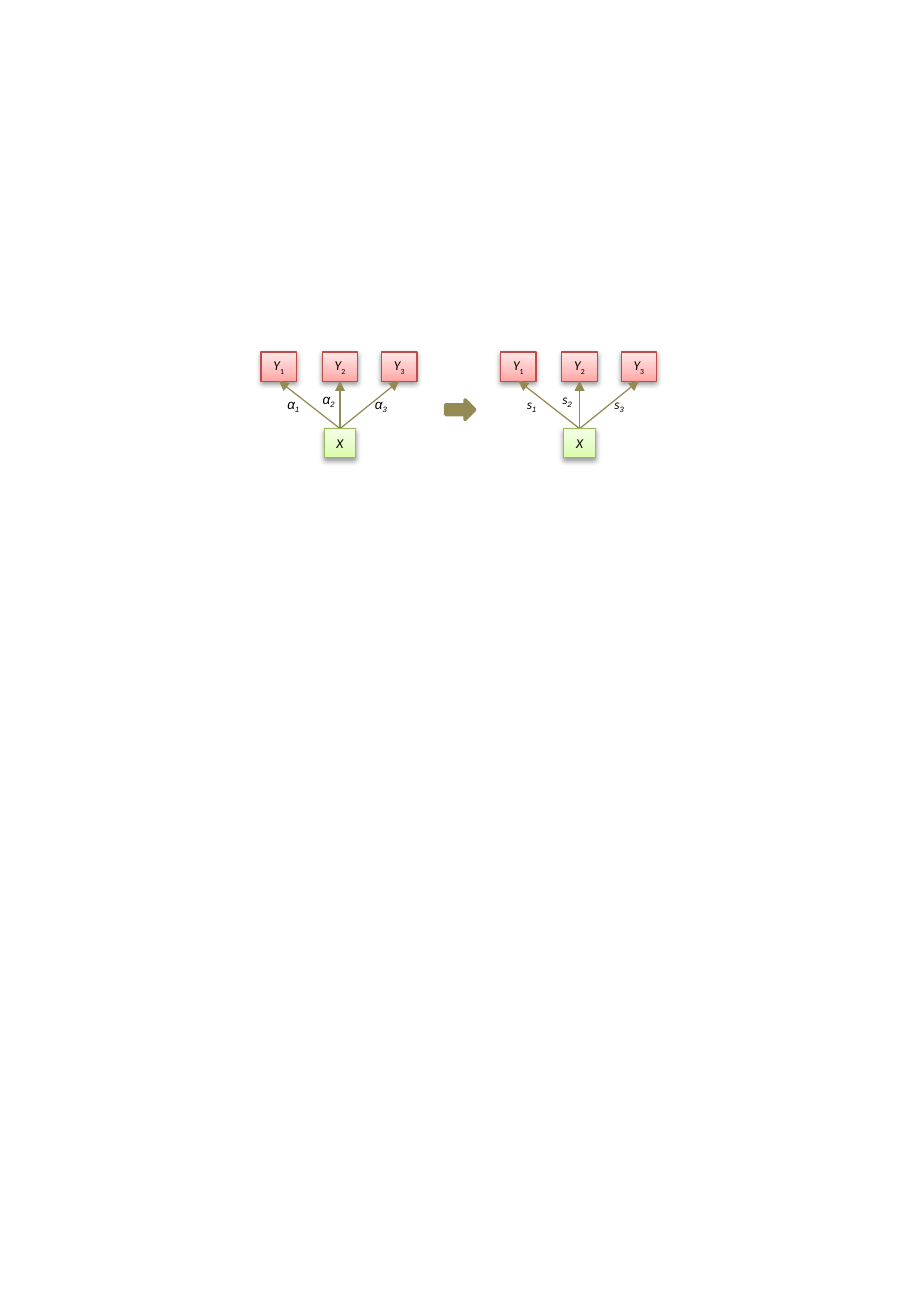
"""Build a slide with two path graphs from X to Y1, Y2 and Y3, joined by an arrow."""
from copy import deepcopy

from lxml.etree import SubElement
from pptx import Presentation
from pptx.dml.color import RGBColor
from pptx.enum.shapes import MSO_CONNECTOR, MSO_SHAPE
from pptx.enum.text import MSO_ANCHOR, MSO_AUTO_SIZE, PP_ALIGN
from pptx.oxml import parse_xml
from pptx.oxml.ns import nsdecls, qn
from pptx.util import Cm, Pt

hue = RGBColor.from_string
RED = ("FFA6A5", "FFC0BF", "FFE7E7")
GREEN = ("DAFDA7", "E4FCC2", "F5FFE7")
TAN = "948A54"
SHADOW = (
    f'<a:outerShdw {nsdecls("a")} blurRad="{Pt(3.1)}" dist="{Pt(1.6)}" dir="5400000" rotWithShape="0">'
    '<a:srgbClr val="000000"><a:alpha val="38000"/></a:srgbClr></a:outerShdw>'
)


def write(shape, align, base, sub, fonts, slant):
    """Write an italic letter and its subscript into a shape."""
    frame = shape.text_frame
    frame.word_wrap = False
    frame.auto_size = MSO_AUTO_SIZE.SHAPE_TO_FIT_TEXT
    para = frame.paragraphs[0]
    para.alignment = align
    for text, name, italic, drop in ((base, fonts[0], True, 0), (sub, fonts[1], slant, -25000)):
        if text:
            run = para.add_run()
            run.text = text
            run.font.name, run.font.size, run.font.italic = name, Pt(8), italic
            run.font.color.rgb = hue("000000")
            if drop:
                run.font._element.set("baseline", str(drop))


def node(mid, top, width, shades, edge, base, sub):
    """Draw a shaded box centred on mid."""
    box = slide.shapes.add_shape(MSO_SHAPE.RECTANGLE, Cm(mid - width / 2), Cm(top), Cm(width), Cm(0.61))
    box.fill.gradient()
    box.fill.gradient_angle = 90
    stops = box.element.spPr.find(qn("a:gradFill")).find(qn("a:gsLst"))
    stops.insert(1, deepcopy(stops[0]))
    for stop, shade, place in zip(box.fill.gradient_stops, shades, (0, 0.35, 1)):
        stop.color.rgb = hue(shade)
        stop.position = place
    box.line.color.rgb = hue(edge)
    box.line.width = Pt(0.75)
    box.shadow.inherit = False
    box.element.spPr.find(qn("a:effectLst")).append(parse_xml(SHADOW))
    box.text_frame.vertical_anchor = MSO_ANCHOR.MIDDLE
    write(box, PP_ALIGN.CENTER, base, sub, ("Calibri", "Calibri"), False)


deck = Presentation()
deck.slide_width, deck.slide_height = Cm(19.05), Cm(27.51)
slide = deck.slides.add_slide(deck.slide_layouts[6])

graphs = ((7.11, "α", "Arial", 0.79), (12.12, "s", "Calibri", 0.71))
paths = (("1", -1.28, -1.35, 8.15), ("2", 0, -0.61, 8.05), ("3", 1.24, 0.48, 8.15))

for mid, sign, font, width in graphs:
    for sub, shift, left, top in paths:
        node(mid + shift, 7.36, 0.74, RED, "BF4C48", "Y", sub)
        link = slide.shapes.add_connector(
            MSO_CONNECTOR.STRAIGHT, Cm(mid), Cm(8.96), Cm(mid + shift), Cm(7.96))
        link.line.color.rgb = hue(TAN)
        link.line.width = Pt(0.75)
        SubElement(link.line._get_or_add_ln(), qn("a:tailEnd"), type="triangle")
        SubElement(link.element.spPr, qn("a:effectLst"))
        label = slide.shapes.add_textbox(Cm(mid + left), Cm(top), Cm(width), Cm(0.61))
        write(label, PP_ALIGN.LEFT, sign, sub, (font, "Arial"), True)
    node(mid, 8.96, 0.66, GREEN, "98B955", "X", "")

arrow = slide.shapes.add_shape(MSO_SHAPE.RIGHT_ARROW, Cm(9.32), Cm(8.36), Cm(0.61), Cm(0.41))
arrow.shadow.inherit = False
arrow.fill.solid()
arrow.fill.fore_color.rgb = hue(TAN)
arrow.line.color.rgb = hue(TAN)
arrow.line.width = Pt(2)

deck.save("out.pptx")
